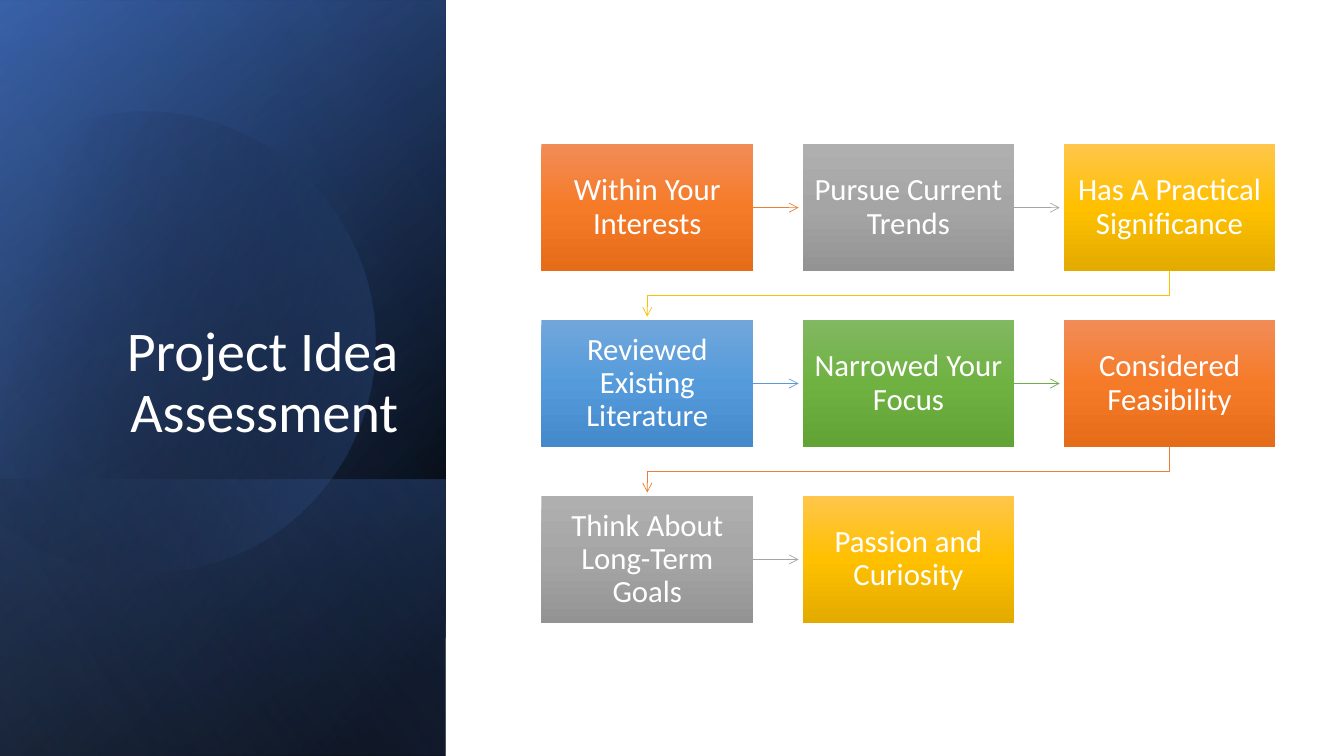
"""Build the project idea assessment slide."""
import math
from dataclasses import dataclass
from typing import Any

from lxml import etree
from pptx import Presentation
from pptx import util as u
from pptx.dml.color import RGBColor
from pptx.enum import shapes, text
from pptx.oxml.ns import qn

HUES = {
    "white": "FFFFFF", "black": "000000", "navy": "2F5597",
    "blue": "4472C4", "pale": "8FAADC", "orange": "ED7D31",
    "grey": "A5A5A5", "gold": "FFC000", "sky": "5B9BD5", "green": "70AD47",
}
SHADES = {
    "orange": ("F18C57", "F67B28", "E56C19"),
    "grey": ("AFAFAF", "A5A5A5", "939393"),
    "gold": ("FFC64B", "FFC000", "E3AB00"),
    "sky": ("71A6DB", "559BDB", "448ACA"),
    "green": ("81B861", "6FB242", "62A336"),
}
FONT = "Calibri"
COLS = 3
LEFT, TOP, WIDE, HIGH = 5.37, 1.43, 2.1, 1.26
STEP_X, STEP_Y = 2.59, 3.49 / 2
REACH, DROP, BEND = 0.45, 0.45, 0.24


@dataclass
class Stop:
    """A gradient stop with its place and opacity in percent."""
    place: int
    color: str
    alpha: int = 100


@dataclass
class Panel:
    """A turned gradient rectangle of the side band."""
    left: float
    top: float
    wide: float
    high: float
    angle: int
    stops: list[Stop]


@dataclass
class Step:
    """One box of the assessment flow."""
    label: str
    hue: str


PANELS = [
    Panel(-1.54, 1.54, 7.5, 4.42, 50,
          [Stop(8, HUES["black"]), Stop(100, HUES["navy"])]),
    Panel(-1.54, 1.55, 7.5, 4.42, 30,
          [Stop(0, HUES["black"], 0), Stop(99, HUES["blue"], 46)]),
    Panel(0.84, 3.92, 2.74, 4.42, 130,
          [Stop(2, HUES["blue"], 29), Stop(100, HUES["black"], 30)]),
]
GLOW = Panel(-1.54, 1.54, 7.5, 4.42, 120,
             [Stop(0, HUES["black"], 0), Stop(99, HUES["pale"], 11)])
STEPS = [
    Step("Within Your Interests", "orange"),
    Step("Pursue Current Trends", "grey"),
    Step("Has A Practical Significance", "gold"),
    Step("Reviewed Existing Literature", "sky"),
    Step("Narrowed Your Focus", "green"),
    Step("Considered Feasibility", "orange"),
    Step("Think About Long-Term Goals", "grey"),
    Step("Passion and Curiosity", "gold"),
]


def style(item: Any, values: dict[str, Any]) -> None:
    """Set each format value on an item."""
    for name, value in values.items():
        setattr(item, name, value)


def blend(shape: Any, stops: list[Stop], angle: int) -> None:
    """Give a shape a linear gradient and no line or shadow."""
    shape.shadow.inherit = False
    shape.line.fill.background()
    shape.fill.background()
    old = shape._element.spPr.find(qn("a:noFill"))
    grad = etree.Element(qn("a:gradFill"), rotWithShape="1")
    marks = etree.SubElement(grad, qn("a:gsLst"))
    for stop in stops:
        mark = etree.SubElement(marks, qn("a:gs"), pos=str(stop.place * 1000))
        color = etree.SubElement(mark, qn("a:srgbClr"), val=stop.color)
        if stop.alpha < 100:
            etree.SubElement(color, qn("a:alpha"), val=str(stop.alpha * 1000))
    etree.SubElement(grad, qn("a:lin"), ang=str(angle * 60000), scaled="0")
    old.getparent().replace(old, grad)


def write(shape: Any, label: str, size: int, align: Any, frame: dict[str, Any]) -> None:
    """Write one white paragraph in a shape."""
    body = shape.text_frame
    style(body, {"word_wrap": True, "auto_size": text.MSO_AUTO_SIZE.NONE, **frame})
    para = body.paragraphs[0]
    para.text = label
    style(para, {"alignment": align, "line_spacing": 0.9})
    style(para.font, {"name": FONT, "size": u.Pt(size)})
    para.font.color.rgb = RGBColor.from_string(HUES["white"])


def add_panel(slide: Any, panel: Panel) -> None:
    """Draw a side panel, turned and flipped."""
    spots = map(u.Inches, (panel.left, panel.top, panel.wide, panel.high))
    shape = slide.shapes.add_shape(shapes.MSO_SHAPE.RECTANGLE, *spots)
    shape.rotation = 90
    shape._element.spPr.find(qn("a:xfrm")).set("flipH", "1")
    blend(shape, panel.stops, panel.angle)


def trace(slide: Any, spots: list[tuple[float, float]], close: bool) -> Any:
    """Draw an outline through points given in inches."""
    dots = [(u.Inches(x), u.Inches(y)) for x, y in spots]
    pen = slide.shapes.build_freeform(*dots[0])
    pen.add_line_segments(dots[1:], close=close)
    return pen.convert_to_shape()


def add_disc(slide: Any) -> None:
    """Draw the clipped disc of the side band from cubic arcs."""
    mid_x, mid_y, size = 1.43, 3.35, 2.29

    def spot(turn: float, pull: float) -> tuple[float, float]:
        """Find a point on the rim, moved along its tangent."""
        cos, sin = math.cos(turn), math.sin(turn)
        return mid_x + size * (cos - pull * sin), mid_y + size * (sin + pull * cos)

    turns = [math.radians(deg) for deg in (-117, -90, 0, 90, 149)]
    spots = [spot(turns[0], 0)]
    for start, stop in zip(turns, turns[1:]):
        pull = 4 / 3 * math.tan((stop - start) / 4)
        spots += [spot(start, pull), spot(stop, -pull), spot(stop, 0)]
    disc = trace(slide, spots, True)
    lines = list(disc._element.iter(qn("a:lnTo")))
    for first in range(0, len(spots) - 1, 3):
        curve = etree.Element(qn("a:cubicBezTo"))
        lines[first].addprevious(curve)
        for line in lines[first:first + 3]:
            curve.append(line[0])
            line.getparent().remove(line)
    disc.rotation = 343.9
    blend(disc, [Stop(29, HUES["black"], 0), Stop(100, HUES["blue"], 43)], 30)


def add_step(slide: Any, step: Step, left: float, top: float) -> Any:
    """Draw one step box with its label."""
    spots = map(u.Inches, (left, top, WIDE, HIGH))
    box = slide.shapes.add_shape(shapes.MSO_SHAPE.RECTANGLE, *spots)
    blend(box, [Stop(at, tone) for at, tone in zip((0, 50, 100), SHADES[step.hue])], 90)
    side, edge = u.Inches(0.1), u.Inches(0.11)
    write(box, step.label, 22, text.PP_ALIGN.CENTER, {
        "vertical_anchor": text.MSO_ANCHOR.MIDDLE, "margin_left": side,
        "margin_right": side, "margin_top": edge, "margin_bottom": edge})
    return box


def add_link(slide: Any, box: Any, left: float, top: float, hue: str, last: bool) -> None:
    """Draw the arrow from a box to the next step."""
    if last:
        start, low, goal = left + WIDE / 2, top + HIGH, LEFT + WIDE / 2
        link = trace(slide, [(start, low), (start, low + BEND),
                             (goal, low + BEND), (goal, low + DROP)], False)
        link.fill.background()
    else:
        side, mid = left + WIDE, top + HIGH / 2
        spots = map(u.Inches, (side, mid, side + REACH, mid))
        link = slide.shapes.add_connector(shapes.MSO_CONNECTOR.STRAIGHT, *spots)
        link.begin_connect(box, 3)
    link.line.color.rgb = RGBColor.from_string(HUES[hue])
    link.line.width = u.Pt(0.5)
    frame = link._element.spPr
    etree.SubElement(frame.find(qn("a:ln")), qn("a:tailEnd"), type="arrow")
    etree.SubElement(frame, qn("a:effectLst"))


def main() -> None:
    """Build and save the slide."""
    deck = Presentation()
    style(deck, {"slide_width": u.Inches(13.33), "slide_height": u.Inches(7.5)})
    slide = deck.slides.add_slide(deck.slide_layouts[5])
    for panel in PANELS:
        add_panel(slide, panel)
    add_disc(slide)
    add_panel(slide, GLOW)
    title = slide.shapes.title
    style(title, {"left": u.Inches(0.64), "top": u.Inches(1.84),
                  "width": u.Inches(3.41), "height": u.Inches(2.62)})
    write(title, "Project Idea Assessment", 40, text.PP_ALIGN.RIGHT,
          {"vertical_anchor": text.MSO_ANCHOR.BOTTOM})
    slide.shapes._spTree.append(title._element)
    for rank, step in enumerate(STEPS):
        row, col = divmod(rank, COLS)
        left, top = LEFT + col * STEP_X, TOP + row * STEP_Y
        box = add_step(slide, step, left, top)
        if rank < len(STEPS) - 1:
            add_link(slide, box, left, top, step.hue, col == COLS - 1)
    deck.save("out.pptx")


if __name__ == "__main__":
    main()
